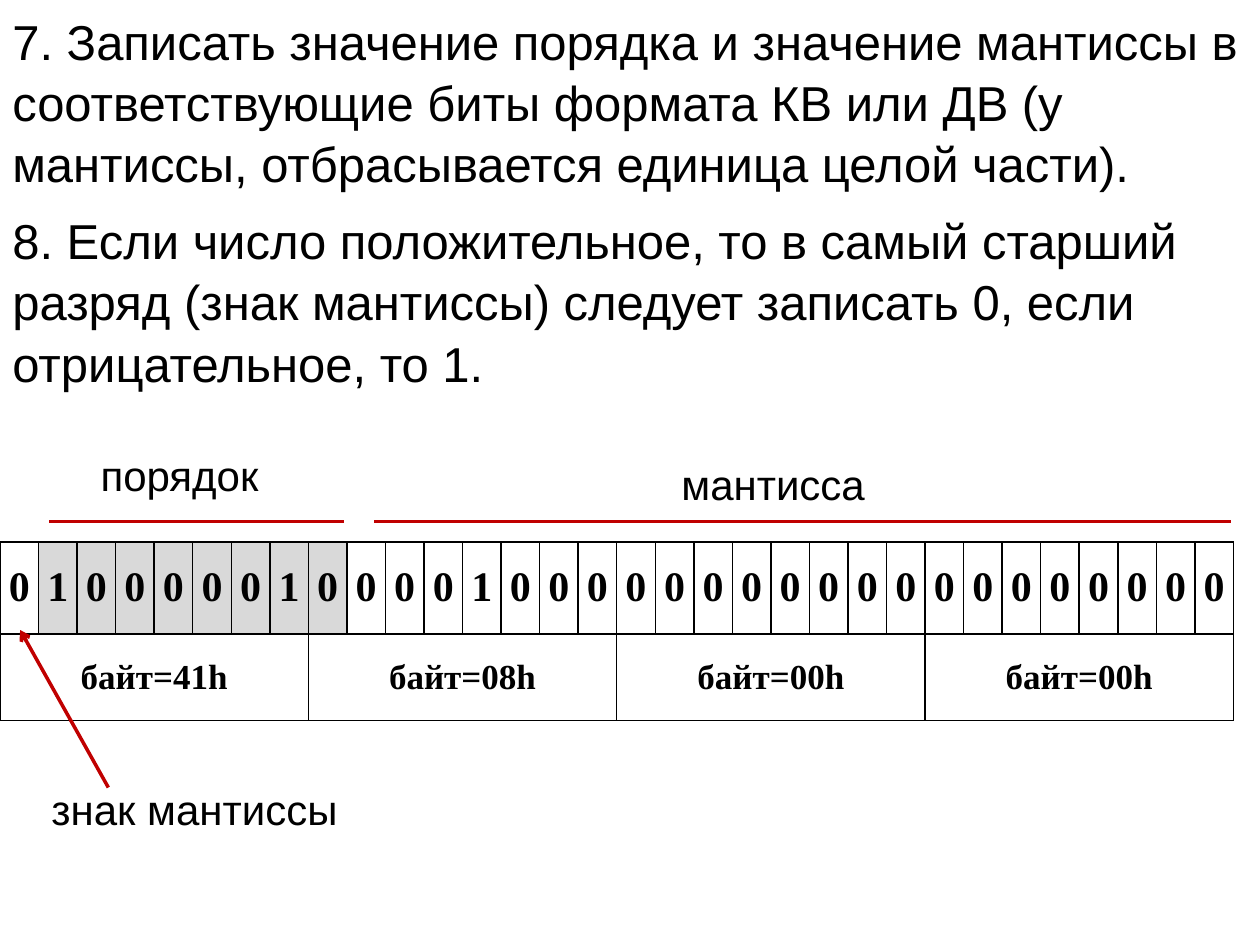
import pptx
import pptx.dml.color
import pptx.enum.shapes
import pptx.enum.text
import pptx.oxml
import pptx.oxml.ns
import pptx.util
from pptx.util import Inches

COLORS = {"text": "000000", "accent": "C00000", "exponent": "D9D9D9", "border": "000000"}
STEPS = [
    "7. Записать значение порядка и значение мантиссы в соответствующие биты "
    "формата КВ или ДВ (у мантиссы, отбрасывается единица целой части).",
    "8. Если число положительное, то в самый старший разряд (знак мантиссы) "
    "следует записать 0, если отрицательное, то 1.",
]
BITS = "01000001" + "00001000" + "00000000" * 2
BYTES = ["41h", "08h", "00h", "00h"]
EXPONENT_BITS = range(1, 9)


def rgb(name):
    """Return the named colour."""
    return pptx.dml.color.RGBColor.from_string(COLORS[name])


def style(paragraph, size, family="Arial", bold=False):
    """Format the runs of a paragraph."""
    for run in paragraph.runs:
        run.font.size = pptx.util.Pt(size)
        run.font.name = family
        run.font.bold = bold
        run.font.color.rgb = rgb("text")


def add_steps(slide, left, top, width, height):
    """Place the numbered steps."""
    frame = slide.shapes.add_textbox(left, top, width, height).text_frame
    frame.word_wrap = True
    frame.margin_top = Inches(0.07)
    frame.text = "\n".join(STEPS)
    for paragraph in frame.paragraphs:
        paragraph.line_spacing = 1.04
        style(paragraph, 28)
    frame.paragraphs[1].space_before = pptx.util.Pt(9.2)


def add_label(slide, text, left, top, width, height):
    """Place a one-line label."""
    frame = slide.shapes.add_textbox(left, top, width, height).text_frame
    frame.word_wrap = False
    frame.text = text
    style(frame.paragraphs[0], 24)


def add_line(slide, start, end, arrow=False):
    """Draw a red line between two points, with an optional arrowhead."""
    line = slide.shapes.add_connector(
        pptx.enum.shapes.MSO_CONNECTOR.STRAIGHT, *map(Inches, start + end))
    line.line.color.rgb = rgb("accent")
    line.line.width = pptx.util.Pt(2)
    if arrow:
        tail = pptx.oxml.parse_xml(f'<a:tailEnd {pptx.oxml.ns.nsdecls("a")} type="arrow"/>')
        line.line._get_or_add_ln().append(tail)
    effects = pptx.oxml.parse_xml(f'<a:effectLst {pptx.oxml.ns.nsdecls("a")}/>')
    line._element.spPr.append(effects)


def format_cell(cell, shaded):
    """Set the borders and fill of a cell."""
    properties = cell._tc.get_or_add_tcPr()
    for side in ("lnL", "lnR", "lnT", "lnB"):
        properties.append(pptx.oxml.parse_xml(
            f'<a:{side} {pptx.oxml.ns.nsdecls("a")} w="12700"><a:solidFill>'
            f'<a:srgbClr val="{COLORS["border"]}"/></a:solidFill></a:{side}>'))
    if shaded:
        cell.fill.solid()
        cell.fill.fore_color.rgb = rgb("exponent")
    else:
        cell.fill.background()


def write_cell(cell, text, size, side_margin):
    """Write centred bold text into a cell."""
    cell.margin_left = cell.margin_right = Inches(side_margin)
    cell.margin_top = cell.margin_bottom = 0
    cell.vertical_anchor = pptx.enum.text.MSO_ANCHOR.MIDDLE
    cell.text = text
    paragraph = cell.text_frame.paragraphs[0]
    paragraph.alignment = pptx.enum.text.PP_ALIGN.CENTER
    paragraph.space_after = pptx.util.Pt(2)
    style(paragraph, size, "Times New Roman", True)


def add_bit_table(slide, left, top, width, height):
    """Place the bits with the bytes they form."""
    table = slide.shapes.add_table(2, len(BITS), left, top, width, height).table
    table.first_row = table.horz_banding = False
    table.rows[0].height = Inches(0.73)
    table.rows[1].height = height - Inches(0.73)
    for column, bit in enumerate(BITS):
        table.columns[column].width = width // len(BITS)
        format_cell(table.cell(0, column), column in EXPONENT_BITS)
        format_cell(table.cell(1, column), False)
        write_cell(table.cell(0, column), bit, 24, 0)
    for index, value in enumerate(BYTES):
        first = table.cell(1, index * 8)
        first.merge(table.cell(1, index * 8 + 7))
        write_cell(first, f"байт={value}", 20, 0.07)


def main():
    """Build the slide."""
    deck = pptx.Presentation()
    deck.slide_width, deck.slide_height = Inches(10), Inches(7.5)
    slide = deck.slides.add_slide(deck.slide_layouts[6])
    add_steps(slide, 0, 0, Inches(10), Inches(3.06))
    add_bit_table(slide, 0, Inches(4.3), Inches(9.8), Inches(1.42))
    add_line(slide, (2.73, 4.14), (0.39, 4.14))
    add_line(slide, (9.77, 4.14), (2.97, 4.14))
    for text, *box in [("мантисса", 5.31, 3.59, 1.67, 0.5),
                       ("порядок", 0.7, 3.52, 1.47, 0.5),
                       ("знак мантиссы", 0.31, 6.17, 2.49, 0.5)]:
        add_label(slide, text, *map(Inches, box))
    add_line(slide, (0.86, 6.25), (0.16, 5), arrow=True)
    deck.save("out.pptx")


if __name__ == "__main__":
    main()
